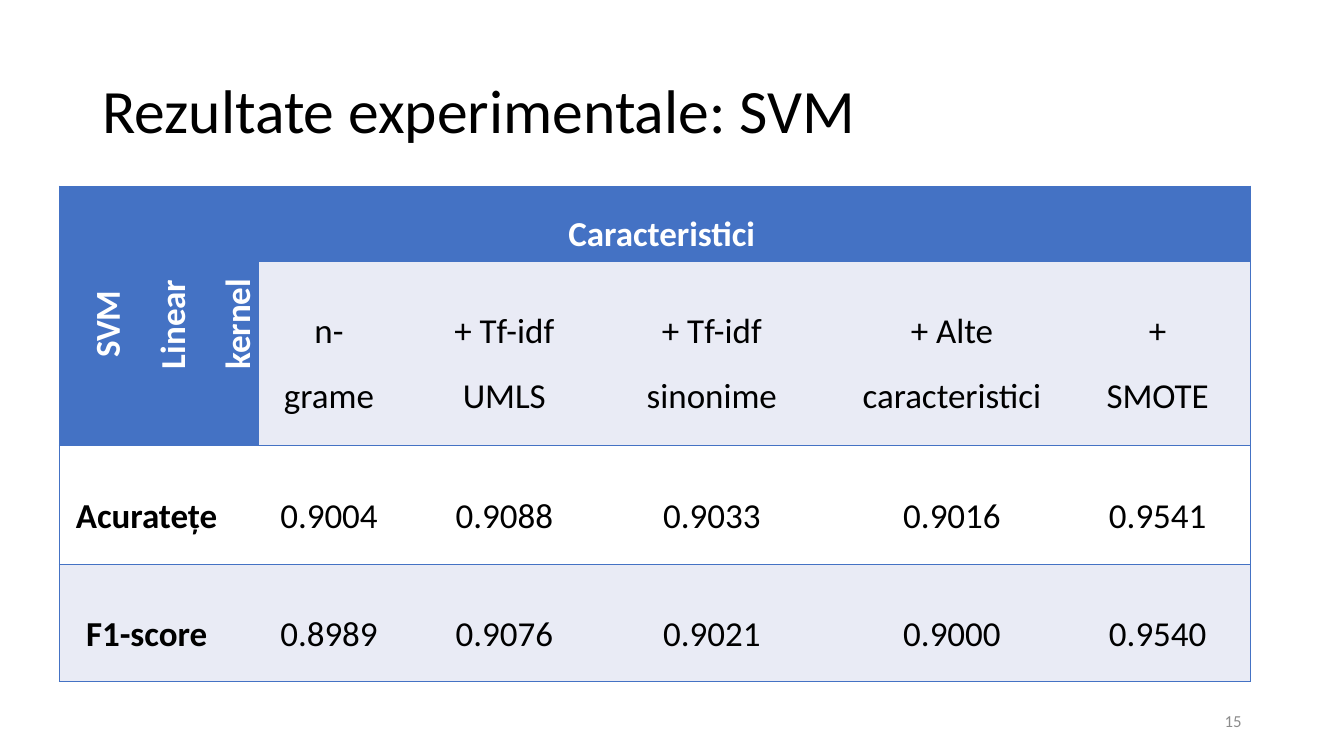
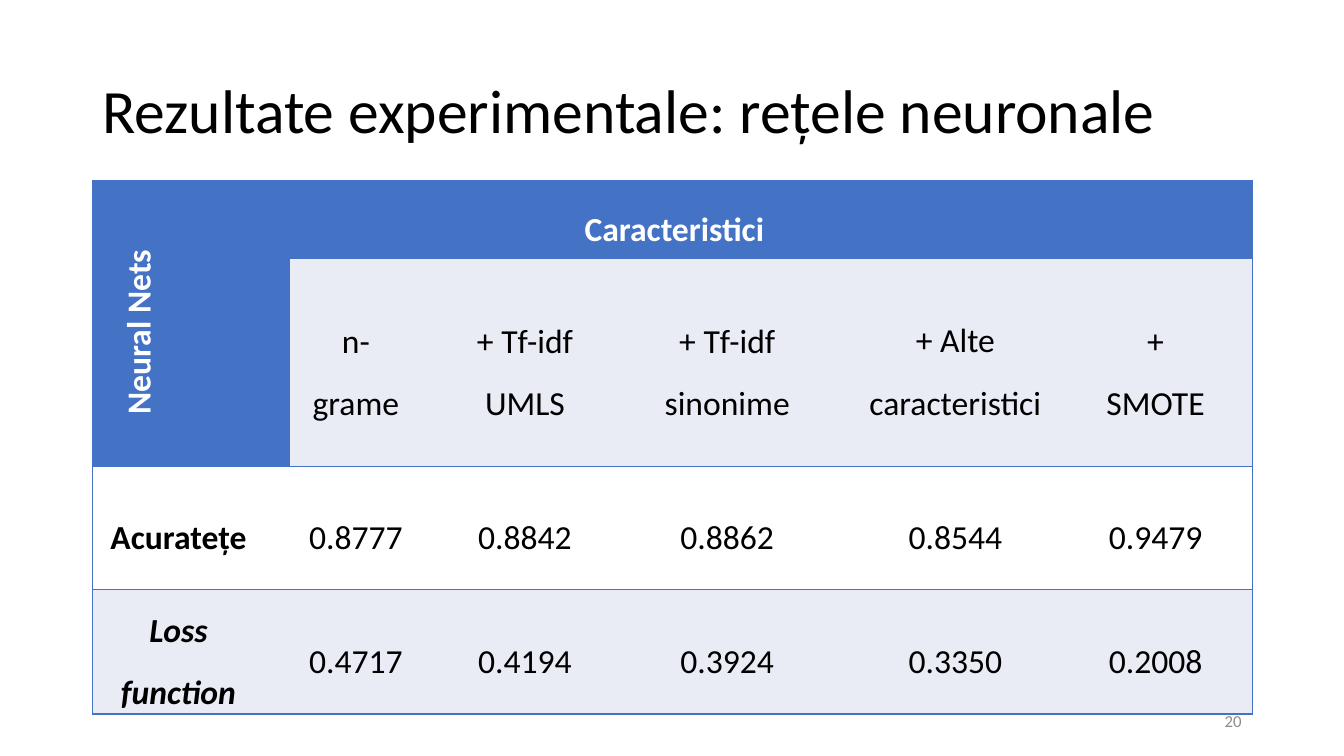
from lxml import etree
from pptx import Presentation
from pptx.dml.color import RGBColor
from pptx.enum import text as t
from pptx.oxml import ns
from pptx.util import Pt

FONT = "Calibri"
BLACK, WHITE, GREY = "000000", "FFFFFF", "8C8C8C"
ACCENT, BAND = "4472C4", "E9EBF5"
CENTER, RIGHT = t.PP_ALIGN.CENTER, t.PP_ALIGN.RIGHT
MIDDLE = t.MSO_ANCHOR.MIDDLE
FEATURES = ["n-grame", "+ Tf-idf UMLS", "+ Tf-idf sinonime",
            "+ Alte\ncaracteristici", "+ SMOTE"]


def color(value):
    return RGBColor.from_string(value)


def write(frame, content, size, ink=BLACK, bold=False, italic=False, align=None,
          spacing=None, after=0, left=0, right=0):
    for index, line in enumerate(content.split("\n")):
        para = frame.paragraphs[0] if index == 0 else frame.add_paragraph()
        para.alignment = align
        para.line_spacing = spacing
        para.space_after = Pt(after)
        properties = para._p.get_or_add_pPr()
        properties.set("marL", str(Pt(left)))
        properties.set("marR", str(Pt(right)))
        span = para.add_run()
        span.text = line
        span.font.name = FONT
        span.font.size = Pt(size)
        span.font.bold = bold
        span.font.italic = italic
        span.font.color.rgb = color(ink)


def add_text(page, content, left, top, width, height, **style):
    box = page.shapes.add_textbox(Pt(left), Pt(top), Pt(width), Pt(height))
    frame = box.text_frame
    frame.word_wrap = True
    frame.vertical_anchor = MIDDLE
    write(frame, content, **style)


def set_borders(cell, visible):
    properties = cell._tc.get_or_add_tcPr()
    for side in "LRTB":
        line = etree.SubElement(properties, ns.qn(f"a:ln{side}"), w=str(Pt(1)))
        if side in visible:
            fill = etree.SubElement(line, ns.qn("a:solidFill"))
            etree.SubElement(fill, ns.qn("a:srgbClr"), val=ACCENT)
        else:
            etree.SubElement(line, ns.qn("a:noFill"))


def cell_fill(row, column):
    if row == 0 or (row == 1 and column == 0):
        return ACCENT
    return WHITE if row == 2 else BAND


def fill_cell(cell, content, size, inset, header=False, **style):
    cell.margin_left = cell.margin_right = Pt(7.2 if header else inset)
    cell.margin_top = cell.margin_bottom = Pt(3.6 if header else 0)
    cell.vertical_anchor = MIDDLE
    write(cell.text_frame, content, size, ink=WHITE if header else BLACK,
          align=CENTER, spacing=1.52, after=0.2, right=18, **style)


def add_results(page, model, scores, left, top, widths, heights, size, inset,
                italic_labels=()):
    holder = page.shapes.add_table(len(heights), len(widths), Pt(left), Pt(top),
                                   Pt(sum(widths)), Pt(sum(heights)))
    table = holder.table
    table.first_row = table.horz_banding = False
    for column, width in zip(table.columns, widths):
        column.width = Pt(width)
    for row, height in zip(table.rows, heights):
        row.height = Pt(height)

    last = len(widths) - 1
    for row in range(len(heights)):
        for column in range(len(widths)):
            cell = table.cell(row, column)
            set_borders(cell, "TB" + {0: "L", last: "R"}.get(column, ""))
            cell.fill.solid()
            cell.fill.fore_color.rgb = color(cell_fill(row, column))

    corner, heading = table.cell(0, 0), table.cell(0, 1)
    corner.merge(table.cell(1, 0))
    heading.merge(table.cell(0, last - 1))
    corner._tc.get_or_add_tcPr().set("vert", "vert270")
    fill_cell(corner, model, size, inset, header=True, bold=True, left=5.7)
    fill_cell(heading, "Caracteristici", size, inset, header=True, bold=True)

    for column, feature in enumerate(FEATURES, 1):
        fill_cell(table.cell(1, column), feature, size, inset)
    for row, (label, values) in enumerate(scores.items(), 2):
        fill_cell(table.cell(row, 0), label, size, inset, bold=True,
                  italic=label in italic_labels)
        for column, value in enumerate(values.split(), 1):
            fill_cell(table.cell(row, column), value, size, inset)


def add_page(deck, title, number):
    page = deck.slides.add_slide(deck.slide_layouts[6])
    add_text(page, title, 66, 28.75, 828, 104.4, size=44, spacing=0.9)
    add_text(page, number, 678, 500.5, 216, 28.75, size=12, ink=GREY, align=RIGHT)
    return page


def main():
    deck = Presentation()
    deck.slide_width, deck.slide_height = Pt(960), Pt(540)

    page = add_page(deck, "Rezultate experimentale: SVM", "15")
    add_results(page, "SVM\nLinear\nkernel",
                {"Acuratețe": "0.9004 0.9088 0.9033 0.9016 0.9541",
                 "F1-score": "0.8989 0.9076 0.9021 0.9000 0.9540"},
                left=42.5, top=133, widths=[142.5, 118, 132.5, 164, 179, 115],
                heights=[53.5, 131.5, 85.5, 83.5], size=25, inset=10.8)

    page = add_page(deck, "Rezultate experimentale: rețele neuronale", "20")
    add_results(page, "Neural Nets",
                {"Acuratețe": "0.8777 0.8842 0.8862 0.8544 0.9479",
                 "Loss function": "0.4717 0.4194 0.3924 0.3350 0.2008"},
                left=66, top=129, widths=[141, 112.5, 129, 160, 166, 120],
                heights=[55.5, 148, 88, 89], size=24, inset=11.5,
                italic_labels=["Loss function"])

    deck.save("out.pptx")


if __name__ == "__main__":
    main()
